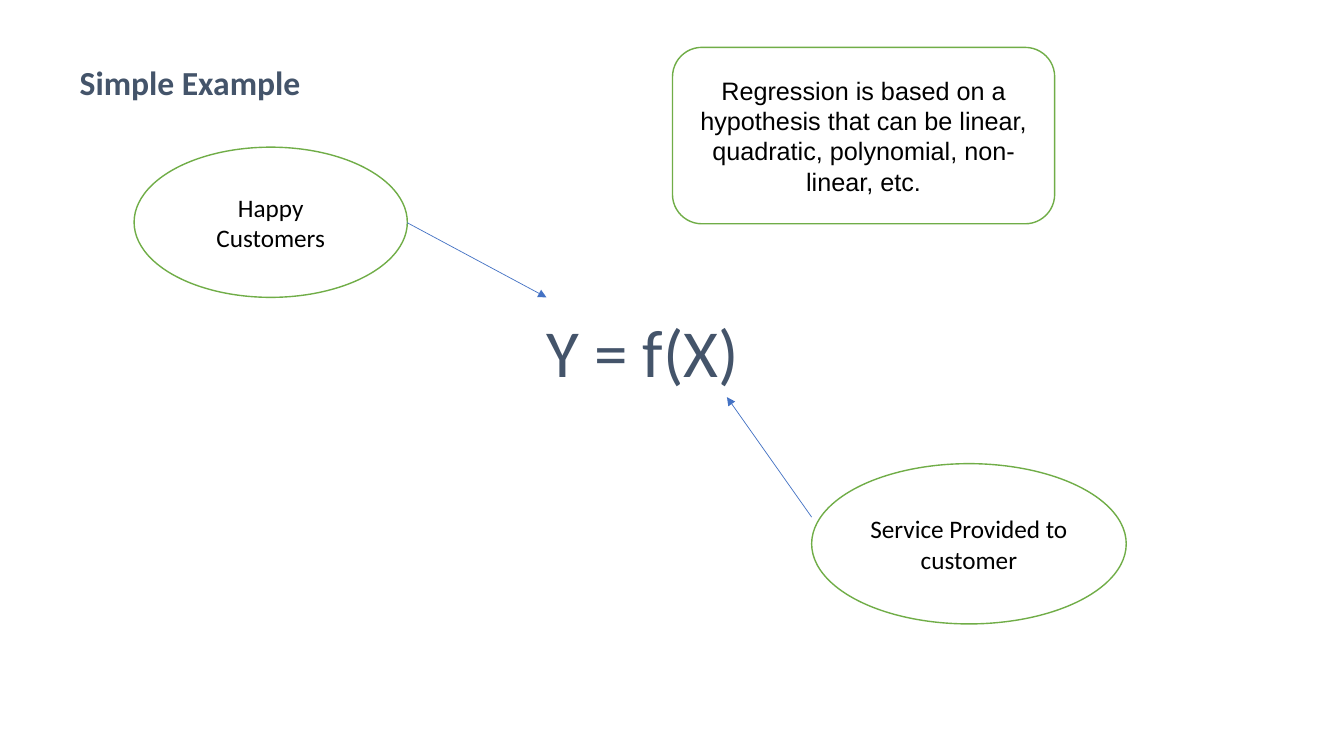
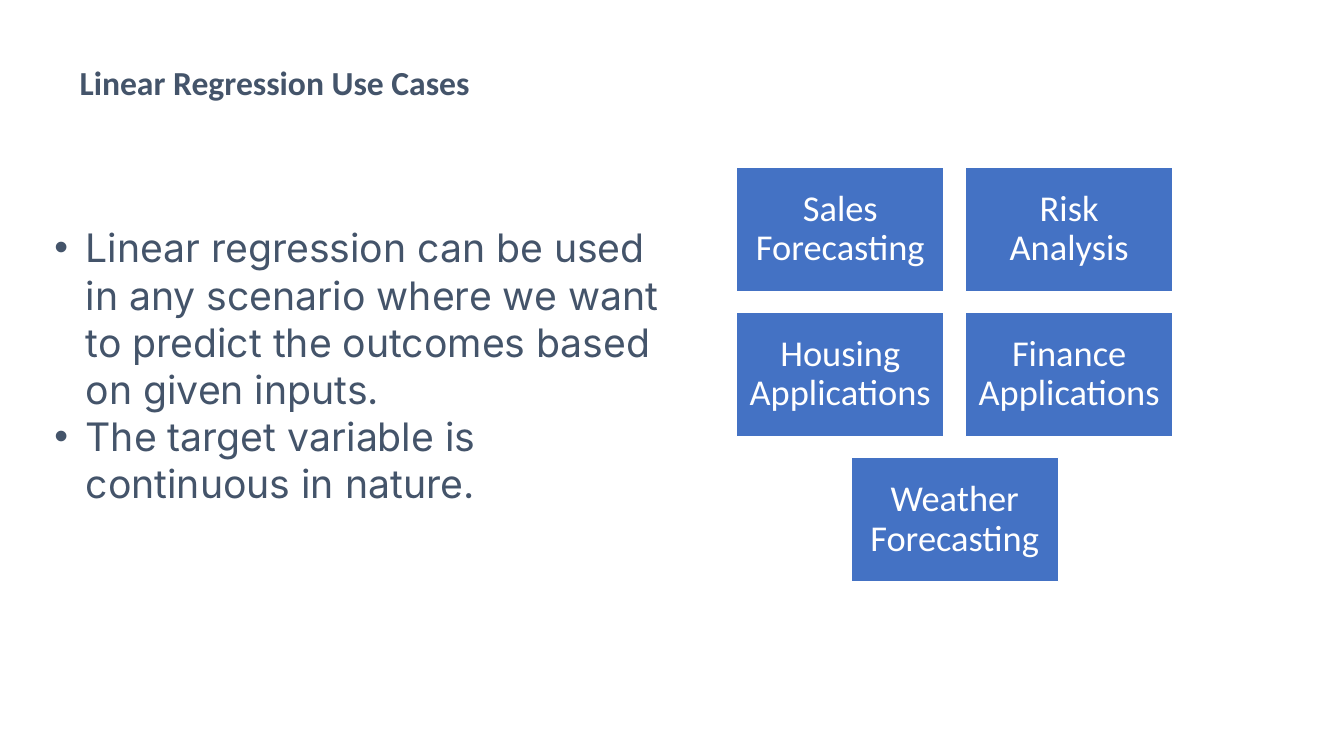
from lxml import etree
from pptx import Presentation
from pptx.dml.color import RGBColor
from pptx.enum.shapes import MSO_CONNECTOR as Connector, MSO_SHAPE as Shape
from pptx.enum.text import MSO_ANCHOR as Anchor, MSO_AUTO_SIZE as AutoSize, PP_ALIGN as Align
from pptx.oxml.ns import qn
from pptx.util import Inches, Pt

WHITE, BLACK = "FFFFFF", "000000"
SLATE, BLUE, GREEN = "44546A", "4472C4", "70AD47"
HEADING_FONT = "Calibri"


def color(hex_value):
    return RGBColor.from_string(hex_value)


class Deck:
    def __init__(self):
        self.presentation = Presentation()
        self.presentation.slide_width = Inches(13.33)
        self.presentation.slide_height = Inches(7.5)
        self.slide = None

    def place(self, shape, box):
        shape.left, shape.top, shape.width, shape.height = map(Inches, box)

    def prepare_frame(self, frame, anchor, inset=(0.1, 0.05, 0.1, 0.05)):
        frame.word_wrap = True
        frame.auto_size = AutoSize.NONE
        frame.vertical_anchor = anchor
        frame.margin_left, frame.margin_top, frame.margin_right, frame.margin_bottom = map(Inches, inset)

    def add_text(self, paragraph, text, size, font, hex_value, align=Align.CENTER, bold=False, spacing=1.0):
        paragraph.alignment = align
        paragraph.line_spacing = spacing
        paragraph.space_before = paragraph.space_after = Pt(0)
        run = paragraph.add_run()
        run.text = text
        run.font.size = Pt(size)
        run.font.name = font
        run.font.bold = bold
        run.font.color.rgb = color(hex_value)

    def set_bullet(self, paragraph, character=None, indent=0):
        """Give the paragraph a hanging bullet, or none without a character."""
        properties = paragraph._p.get_or_add_pPr()
        properties.set("marL", str(Inches(indent)))
        properties.set("indent", str(-Inches(indent)))
        if character:
            etree.SubElement(properties, qn("a:buFont")).set("typeface", "Arial")
            etree.SubElement(properties, qn("a:buChar")).set("char", character)
        else:
            etree.SubElement(properties, qn("a:buNone"))

    def add_slide(self, title):
        self.slide = self.presentation.slides.add_slide(self.presentation.slide_layouts[1])
        shape = self.slide.shapes.title
        self.place(shape, (0.69, 0.53, 7.87, 0.53))
        self.prepare_frame(shape.text_frame, Anchor.TOP, (0.1, 0.08, 0.1, 0.05))
        self.add_text(shape.text_frame.paragraphs[0], title, 24, HEADING_FONT, SLATE, Align.LEFT, bold=True)

    def add_body(self, box, anchor):
        body = self.slide.placeholders[1]
        self.place(body, box)
        self.prepare_frame(body.text_frame, anchor)
        return body.text_frame

    def add_formula(self, box, text):
        paragraph = self.add_body(box, Anchor.MIDDLE).paragraphs[0]
        self.add_text(paragraph, text, 48, HEADING_FONT, SLATE, spacing=0.9)
        self.set_bullet(paragraph)

    def add_bullets(self, box, items):
        frame = self.add_body(box, Anchor.TOP)
        for index, item in enumerate(items):
            paragraph = frame.add_paragraph() if index else frame.paragraphs[0]
            self.add_text(paragraph, item, 28, "Inter", SLATE, Align.LEFT)
            self.set_bullet(paragraph, "•", 0.31)

    def add_shape(self, kind, box, fill, line):
        shape = self.slide.shapes.add_shape(kind, *map(Inches, box))
        shape.shadow.inherit = False
        shape.fill.solid()
        shape.fill.fore_color.rgb = color(fill)
        shape.line.color.rgb = color(line)
        shape.line.width = Pt(1)
        return shape

    def add_callout(self, kind, box, text, font=HEADING_FONT):
        frame = self.add_shape(kind, box, WHITE, GREEN).text_frame
        self.prepare_frame(frame, Anchor.MIDDLE)
        self.add_text(frame.paragraphs[0], text, 18, font, BLACK)

    def add_tile(self, box, text):
        frame = self.add_shape(Shape.RECTANGLE, box, BLUE, WHITE).text_frame
        self.prepare_frame(frame, Anchor.MIDDLE, (0.11,) * 4)
        self.add_text(frame.paragraphs[0], text, 26, HEADING_FONT, WHITE, spacing=0.9)

    def add_arrow(self, start, end):
        arrow = self.slide.shapes.add_connector(Connector.STRAIGHT, *map(Inches, start + end))
        arrow.line.color.rgb = color(BLUE)
        arrow.line.width = Pt(0.5)
        etree.SubElement(arrow.line._get_or_add_ln(), qn("a:tailEnd")).set("type", "triangle")
        etree.SubElement(arrow._element.spPr, qn("a:effectLst"))


def build_example(deck):
    deck.add_slide("Simple Example")
    deck.add_formula((0.44, 2.93, 11.87, 1.2), "Y = f(X)")
    deck.add_callout(Shape.OVAL, (1.33, 1.46, 2.71, 1.49), "Happy Customers")
    deck.add_arrow((4.04, 2.21), (5.42, 2.95))
    deck.add_callout(Shape.OVAL, (8.05, 4.6, 3.12, 1.59), "Service Provided to customer")
    deck.add_arrow((8.05, 5.13), (7.21, 3.94))
    deck.add_callout(
        Shape.ROUNDED_RECTANGLE, (6.67, 0.47, 3.79, 1.75),
        "Regression is based on a hypothesis that can be linear, quadratic, polynomial, non-linear, etc.",
        "Arial")


def build_use_cases(deck):
    deck.add_slide("Linear Regression Use Cases")
    deck.add_bullets((0.44, 2.17, 6.31, 2.93), [
        "Linear regression can be used in any scenario where we want to predict the outcomes "
        "based on given inputs.",
        "The target variable is continuous in nature.",
    ])
    rows = [
        ["Sales Forecasting", "Risk Analysis"],
        ["Housing Applications", "Finance Applications"],
        ["Weather Forecasting"],
    ]
    width, height, gap = 2.06, 1.23, 0.21
    center, top = 9.47, 1.66
    for row_index, row in enumerate(rows):
        left = center - (len(row) * (width + gap) - gap) / 2
        for column_index, use_case in enumerate(row):
            deck.add_tile((left + column_index * (width + gap), top + row_index * (height + gap),
                           width, height), use_case)


def main():
    deck = Deck()
    build_example(deck)
    build_use_cases(deck)
    deck.presentation.save("out.pptx")


if __name__ == "__main__":
    main()
